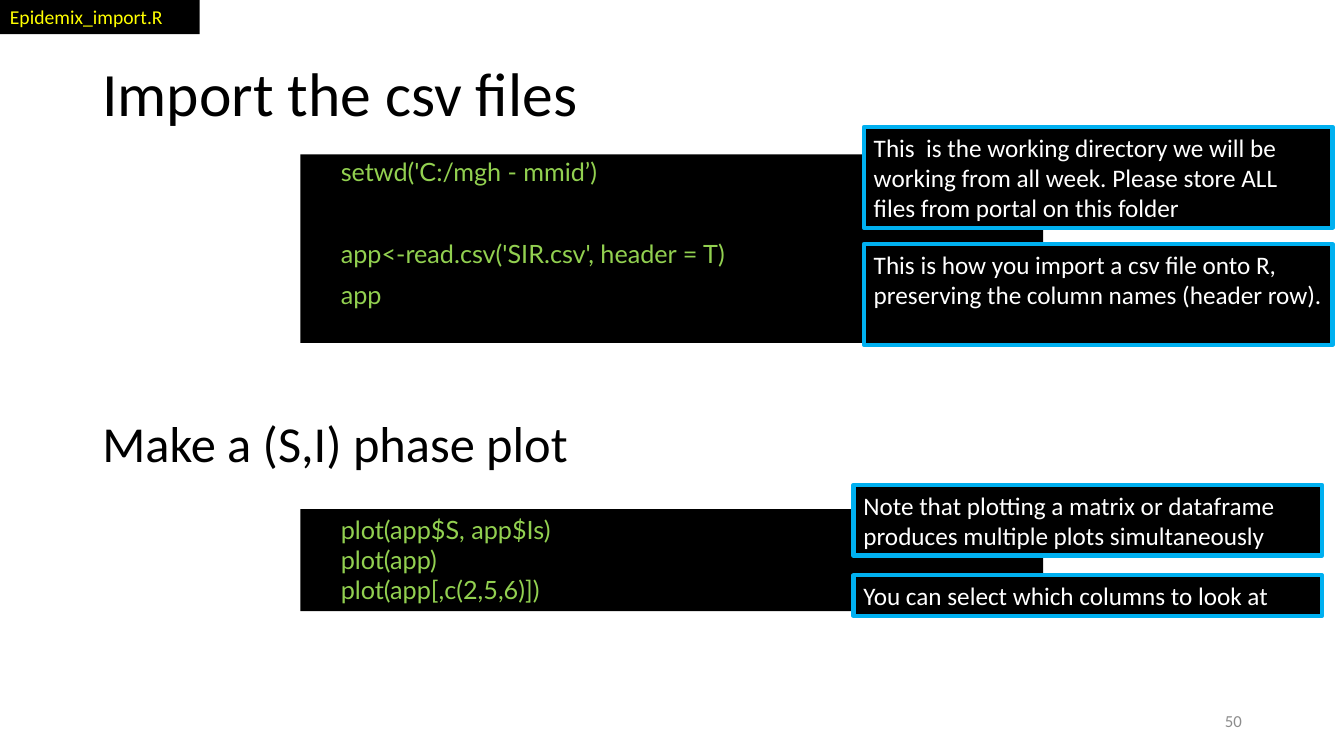
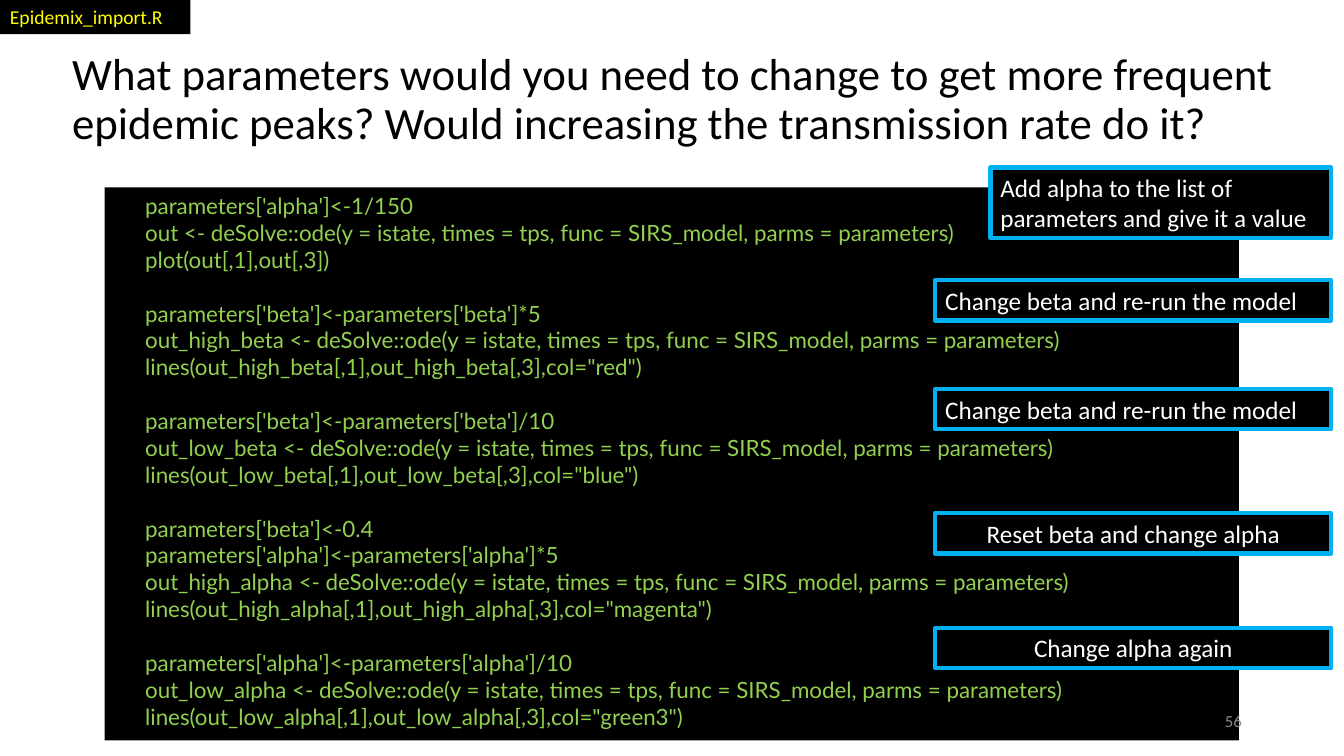
from pptx import Presentation
from pptx.dml.color import RGBColor
from pptx.enum.shapes import MSO_SHAPE
from pptx.enum.text import MSO_ANCHOR, PP_ALIGN
from pptx.util import Cm, Pt

RECT = MSO_SHAPE.RECTANGLE
TOP, MIDDLE = MSO_ANCHOR.TOP, MSO_ANCHOR.MIDDLE
LEFT, CENTER, RIGHT = PP_ALIGN.LEFT, PP_ALIGN.CENTER, PP_ALIGN.RIGHT

BLACK = RGBColor(0x00, 0x00, 0x00)
WHITE = RGBColor(0xFF, 0xFF, 0xFF)
GREEN = RGBColor(0x92, 0xD0, 0x50)
YELLOW = RGBColor(0xFF, 0xFF, 0x00)
BLUE = RGBColor(0x00, 0xB0, 0xF0)
GREY = RGBColor(0x8C, 0x8C, 0x8C)

BODY_FONT, CODE_FONT = "Calibri", "Lato"
NOTE_RIGHT = 33.55
NOTE_LINE, NOTE_PADDING = 0.76, 0.26
CODE_MARGIN = Cm(1.02)

IMPORT_CODE = [
    ["setwd('C:/mgh - mmid’)"],
    ["app<-read.csv('SIR.csv', header = T)", "app"],
]
PLOT_CODE = [["plot(app$S, app$Is)", "plot(app)", "plot(app[,c(2,5,6)])"]]
MODEL_CODE = [
    ["parameters['alpha']<-1/150",
     "out <- deSolve::ode(y = istate, times = tps, func = SIRS_model, parms = parameters)",
     "plot(out[,1],out[,3])"],
    ["parameters['beta']<-parameters['beta']*5",
     "out_high_beta <- deSolve::ode(y = istate, times = tps, func = SIRS_model, parms = parameters)",
     "lines(out_high_beta[,1],out_high_beta[,3],col=\"red\")"],
    ["parameters['beta']<-parameters['beta']/10",
     "out_low_beta <- deSolve::ode(y = istate, times = tps, func = SIRS_model, parms = parameters)",
     "lines(out_low_beta[,1],out_low_beta[,3],col=\"blue\")"],
    ["parameters['beta']<-0.4",
     "parameters['alpha']<-parameters['alpha']*5",
     "out_high_alpha <- deSolve::ode(y = istate, times = tps, func = SIRS_model, parms = parameters)",
     "lines(out_high_alpha[,1],out_high_alpha[,3],col=\"magenta\")"],
    ["parameters['alpha']<-parameters['alpha']/10",
     "out_low_alpha <- deSolve::ode(y = istate, times = tps, func = SIRS_model, parms = parameters)",
     "lines(out_low_alpha[,1],out_low_alpha[,3],col=\"green3\")"],
]


def set_all(obj, values):
    for name, value in values.items():
        setattr(obj, name, value)


def write(p, text, size, color, font=BODY_FONT, **layout):
    set_all(p, layout)
    r = p.add_run()
    r.text = text
    set_all(r.font, {"name": font, "size": Pt(size)})
    r.font.color.rgb = color


def add_text(s, box, text, size, color=BLACK, anchor=TOP, **layout):
    tf = s.shapes.add_textbox(*map(Cm, box)).text_frame
    set_all(tf, {"word_wrap": True, "vertical_anchor": anchor})
    write(tf.paragraphs[0], text, size, color, **layout)


def add_panel(s, box, border=None):
    sp = s.shapes.add_shape(RECT, *map(Cm, box))
    sp.shadow.inherit = False
    sp.fill.solid()
    sp.fill.fore_color.rgb = BLACK
    if border is None:
        sp.line.fill.background()
    else:
        sp.line.color.rgb = border
        sp.line.width = Pt(3)
    tf = sp.text_frame
    set_all(tf, {"word_wrap": True, "vertical_anchor": TOP})
    return tf


def add_title(s, box, text, size):
    add_text(s, box, text, size, anchor=MIDDLE, line_spacing=0.9)


def add_number(s, number):
    add_text(s, (23.93, 17.65, 7.62, 1.02), number, 12, GREY, MIDDLE, alignment=RIGHT)


def add_tag(s, width):
    tf = add_panel(s, (0, 0, width, 0.86))
    write(tf.paragraphs[0], "Epidemix_import.R", 14, YELLOW, alignment=LEFT)


def add_code(s, box, blocks, size, spacing=1.0, gap=0):
    tf = add_panel(s, box)
    tf.margin_left = CODE_MARGIN
    p = tf.paragraphs[0]
    for i, block in enumerate(blocks):
        for j, line in enumerate(block):
            before = 0
            if i or j:
                p = tf.add_paragraph()
                before = gap
                if j == 0:
                    before += gap + size * 1.2 * spacing
            write(p, line, size, GREEN, CODE_FONT, alignment=LEFT,
                  line_spacing=spacing, space_before=Pt(before))


def add_note(s, top, width, lines, text, align=LEFT, right=NOTE_RIGHT):
    height = NOTE_PADDING + NOTE_LINE * lines
    tf = add_panel(s, (right - width, top, width, height), BLUE)
    write(tf.paragraphs[0], text, 18, WHITE, alignment=align)


def import_slide(s):
    add_title(s, (2.33, 0.41, 29.21, 4.06), "Import the csv files", 44)
    add_code(s, (7.57, 3.89, 18.72, 4.75), IMPORT_CODE, 18, 0.9, 10)
    add_number(s, "50")
    add_text(s, (2.33, 10.26, 16.94, 1.8), "Make a (S,I) phase plot", 36)
    add_code(s, (7.57, 12.83, 18.72, 2.57), PLOT_CODE, 18)
    for top, lines, right, text in [
        (3.2, 3, 33.58, "This  is the working directory we will be working from all week. "
                        "Please store ALL files from portal on this folder"),
        (6.15, 3, 33.58, "This is how you import a csv file onto R, "
                         "preserving the column names (header row)."),
        (12.22, 2, 33.32, "Note that plotting a matrix or dataframe "
                          "produces multiple plots simultaneously"),
        (14.5, 1, 33.32, "You can select which columns to look at"),
    ]:
        add_note(s, top, 11.81, lines, text, right=right)
    add_tag(s, 5.03)


def model_slide(s):
    add_code(s, (2.64, 4.72, 28.58, 13.94), MODEL_CODE, 16)
    add_title(s, (1.57, 0.69, 30.91, 3.68),
              "What parameters would you need to change to get more frequent epidemic peaks? "
              "Would increasing the transmission rate do it?", 32)
    add_number(s, "56")
    add_note(s, 4.22, 8.59, 2, "Add alpha to the list of parameters and give it a value")
    for top, text, align in [
        (7.06, "Change beta and re-run the model", LEFT),
        (9.8, "Change beta and re-run the model", LEFT),
        (12.93, "Reset beta and change alpha", CENTER),
        (15.82, "Change alpha again", CENTER),
    ]:
        add_note(s, top, 9.98, 1, text, align)
    add_tag(s, 4.8)


def main():
    prs = Presentation()
    set_all(prs, {"slide_width": Cm(33.87), "slide_height": Cm(19.05)})
    for build in (import_slide, model_slide):
        build(prs.slides.add_slide(prs.slide_layouts[6]))
    prs.save("out.pptx")


if __name__ == "__main__":
    main()
